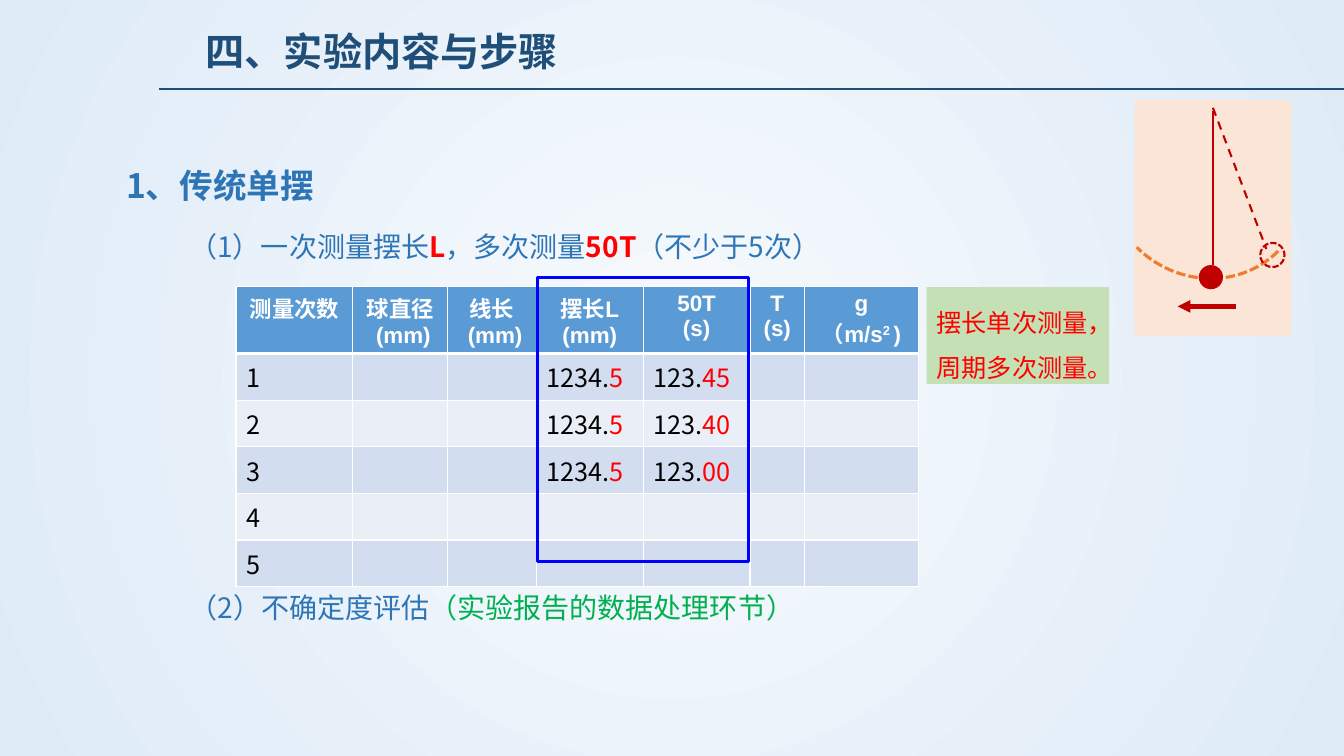
from lxml.etree import SubElement
from pptx import Presentation
from pptx.dml.color import RGBColor
from pptx.enum.dml import MSO_LINE
from pptx.enum.lang import MSO_LANGUAGE_ID
from pptx.enum.shapes import MSO_CONNECTOR, MSO_SHAPE
from pptx.enum.text import MSO_ANCHOR, MSO_AUTO_SIZE, PP_ALIGN
from pptx.oxml.ns import qn
from pptx.util import Inches, Pt

NAVY = RGBColor(0x1F, 0x4E, 0x79)
BLUE = RGBColor(0x2E, 0x75, 0xB6)
HEADER_BLUE = RGBColor(0x5B, 0x9B, 0xD5)
BAND_DARK = RGBColor(0xD2, 0xDE, 0xEF)
BAND_LIGHT = RGBColor(0xEA, 0xEF, 0xF7)
FRAME_BLUE = RGBColor(0x00, 0x00, 0xFF)
GREEN = RGBColor(0x00, 0xB0, 0x50)
PALE_GREEN = RGBColor(0xC5, 0xE0, 0xB4)
PEACH = RGBColor(0xFB, 0xE5, 0xD6)
ORANGE = RGBColor(0xED, 0x7D, 0x31)
RED = RGBColor(0xFF, 0x00, 0x00)
DARK_RED = RGBColor(0xC0, 0x00, 0x00)
BLACK = RGBColor(0x00, 0x00, 0x00)
WHITE = RGBColor(0xFF, 0xFF, 0xFF)
GLOW = RGBColor(0xF7, 0xFA, 0xFD)
EDGE = RGBColor(0xDE, 0xEB, 0xF7)
CHINESE_FONT = "Noto Sans CJK SC"


class LessonPage:
    """Holds the style and the current slide, and draws each kind of element."""

    def __init__(self, deck):
        self.page = deck.slides.add_slide(deck.slide_layouts[1])
        self.shapes = self.page.shapes

    def background(self, center, edge):
        fill = self.page.background.fill
        fill.gradient()
        for stop, color, position in zip(fill.gradient_stops, (center, edge), (0, 1)):
            stop.color.rgb = color
            stop.position = position
        gradient = next(self.page.element.iter(qn("a:gradFill")))
        gradient.remove(gradient.find(qn("a:lin")))
        circle = SubElement(gradient, qn("a:path"), path="circle")
        SubElement(circle, qn("a:fillToRect"), l="50000", t="50000", r="50000", b="50000")

    def add_spans(self, para, spans, size, font=CHINESE_FONT, align=PP_ALIGN.LEFT, spacing=None, before=0):
        para.alignment = align
        para.space_before = Pt(before)
        if spacing:
            para.line_spacing = spacing
        for text, color, bold, *baseline in spans:
            span = para.add_run()
            span.text = text
            span.font.size = Pt(size)
            span.font.name = font
            span.font.bold = bold
            span.font.color.rgb = color
            span.font.language_id = MSO_LANGUAGE_ID.SIMPLIFIED_CHINESE
            properties = span._r.get_or_add_rPr()
            SubElement(properties, qn("a:ea"), typeface=CHINESE_FONT)
            if baseline:
                properties.set("baseline", str(baseline[0] * 1000))

    def place(self, box, left, top, width, height):
        box.left, box.top = Inches(left), Inches(top)
        box.width, box.height = Inches(width), Inches(height)

    def placeholder(self, index, bounds, text, color, size, anchor, spacing, before=0):
        box = self.page.placeholders[index]
        self.place(box, *bounds)
        frame = box.text_frame
        frame.auto_size = MSO_AUTO_SIZE.NONE
        frame.vertical_anchor = anchor
        para = frame.paragraphs[0]
        self.add_spans(para, [(text, color, True)], size, spacing=spacing, before=before)
        properties = para._p.get_or_add_pPr()
        properties.set("marL", "0")
        properties.set("indent", "0")
        SubElement(properties, qn("a:buNone"))

    def text(self, bounds, spans, size, grow=False, **style):
        box = self.shapes.add_textbox(*map(Inches, bounds))
        frame = box.text_frame
        frame.word_wrap = True
        if grow:
            frame.auto_size = MSO_AUTO_SIZE.SHAPE_TO_FIT_TEXT
        self.add_spans(frame.paragraphs[0], spans, size, **style)

    def shape(self, kind, bounds, fill=None, line=None, width=1, dash=None):
        shape = self.shapes.add_shape(kind, *map(Inches, bounds))
        shape.shadow.inherit = False
        if fill:
            shape.fill.solid()
            shape.fill.fore_color.rgb = fill
        else:
            shape.fill.background()
        if line:
            self.stroke(shape.line, line, width, dash)
        else:
            shape.line.fill.background()
        return shape

    def stroke(self, line, color, width, dash=None):
        line.color.rgb = color
        line.width = Pt(width)
        if dash:
            line.dash_style = dash

    def line(self, start, end, color, width, dash=None, arrow=False):
        line = self.shapes.add_connector(MSO_CONNECTOR.STRAIGHT, *map(Inches, (*start, *end)))
        self.stroke(line.line, color, width, dash)
        properties = line._element.spPr
        if arrow:
            SubElement(properties.find(qn("a:ln")), qn("a:tailEnd"), type="triangle")
        SubElement(properties, qn("a:effectLst"))

    def note(self, bounds, lines, fill, color, size):
        frame = self.shape(MSO_SHAPE.RECTANGLE, bounds, fill).text_frame
        frame.word_wrap = True
        frame.vertical_anchor = MSO_ANCHOR.TOP
        frame.auto_size = MSO_AUTO_SIZE.SHAPE_TO_FIT_TEXT
        for index, text in enumerate(lines):
            para = frame.add_paragraph() if index else frame.paragraphs[0]
            self.add_spans(para, [(text, color, False)], size, spacing=1.5)

    def cell(self, cell, fill, top, bottom):
        properties = cell._tc.get_or_add_tcPr()
        for side, width in (("lnL", 1), ("lnR", 1), ("lnT", top), ("lnB", bottom)):
            border = SubElement(properties, qn(f"a:{side}"), w=str(Pt(width)))
            solid = SubElement(border, qn("a:solidFill"))
            SubElement(solid, qn("a:srgbClr"), val=str(WHITE))
        cell.fill.solid()
        cell.fill.fore_color.rgb = fill

    def table(self, bounds, widths, heights, headers, readings):
        table = self.shapes.add_table(len(heights), len(widths), *map(Inches, bounds)).table
        for column, width in zip(table.columns, widths):
            column.width = Inches(width)
        for row, height in zip(table.rows, heights):
            row.height = Inches(height)
        for column, lines in enumerate(headers):
            cell = table.cell(0, column)
            self.cell(cell, HEADER_BLUE, 1, 3)
            for index, parts in enumerate(lines):
                para = cell.text_frame.add_paragraph() if index else cell.text_frame.paragraphs[0]
                spans = [(part, WHITE, True, *([30] if part == "2 " else [])) for part in parts]
                self.add_spans(para, spans, 16, "Arial", PP_ALIGN.CENTER)
        for row in range(1, len(heights)):
            for column in range(len(widths)):
                self.cell(table.cell(row, column), BAND_DARK if row % 2 else BAND_LIGHT, 3 if row == 1 else 1, 1)
            entries = {0: (str(row), ""), **readings.get(row, {})}
            for column, (certain, doubtful) in entries.items():
                spans = [(certain, BLACK, False)] + ([(doubtful, RED, False)] if doubtful else [])
                self.add_spans(table.cell(row, column).text_frame.paragraphs[0], spans, 18)


def main():
    deck = Presentation()
    deck.slide_width, deck.slide_height = Inches(13.33), Inches(7.5)
    lesson = LessonPage(deck)
    lesson.background(GLOW, EDGE)
    lesson.line((1.58, 0.88), (13.33, 0.88), NAVY, 1.25)
    lesson.shape(MSO_SHAPE.RECTANGLE, (11.25, 0.99, 1.56, 2.34), PEACH)
    lesson.placeholder(0, (1.94, 0.08, 11.02, 0.91), "四、实验内容与步骤", NAVY, 28, MSO_ANCHOR.MIDDLE, 0.9)
    lesson.placeholder(1, (1.15, 1.39, 2.68, 0.71), "1、传统单摆", BLUE, 24, MSO_ANCHOR.TOP, 1.5, 10)

    headers = [
        [["测量次数"]], [["球直径"], [" (mm)"]], [["线长"], [" (mm)"]], [["摆长L"], ["(mm)"]],
        [["50T"], ["(s)"]], [["T"], ["(s)"]], [["g"], ["（m/s", "2 ", ")"]],
    ]
    readings = {
        row: {3: ("1234.", "5"), 4: ("123.", digits)}
        for row, digits in enumerate(("45", "40", "00"), 1)
    }
    widths = (1.16, 0.94, 0.88, 1.06, 1.06, 0.54, 1.13)
    lesson.table((2.34, 2.84, 6.77, 2.44), widths, [0.59] + [0.37] * 5, headers, readings)

    lesson.text((1.78, 5.64, 11.09, 0.79), [
        ("（2）不确定度评估", BLUE, False), ("（实验报告的数据处理环节）", GREEN, False),
    ], 20, spacing=1.5, before=10)
    lesson.text((1.78, 2.23, 8.7, 0.44), [
        ("（1）一次测量摆长", BLUE, False), ("L", RED, True), ("，多次测量", BLUE, False),
        ("50T", RED, True), ("（不少于5次）", BLUE, False),
    ], 20, grow=True)
    lesson.note((9.19, 2.85, 1.81, 0.96), ("摆长单次测量，", "周期多次测量。"), PALE_GREEN, RED, 18)
    lesson.shape(MSO_SHAPE.RECTANGLE, (5.33, 2.75, 2.09, 2.82), line=FRAME_BLUE, width=2.25)

    swing = lesson.shape(MSO_SHAPE.ARC, (10.99, 0.75, 1.93, 2.04), None, ORANGE, 2.25, MSO_LINE.SQUARE_DOT)
    swing.rotation = 135
    lesson.shape(MSO_SHAPE.OVAL, (11.89, 2.63, 0.24, 0.24), DARK_RED)
    lesson.line((12.26, 3.04), (11.68, 3.04), DARK_RED, 3, arrow=True)
    lesson.line((12.03, 1.1), (12.03, 2.63), DARK_RED, 1.5)
    lesson.line((12.03, 1.07), (12.56, 2.47), DARK_RED, 1.5, MSO_LINE.DASH)
    lesson.shape(MSO_SHAPE.OVAL, (12.5, 2.41, 0.24, 0.24), None, DARK_RED, 1.5, MSO_LINE.SQUARE_DOT)
    deck.save("out.pptx")


if __name__ == "__main__":
    main()
